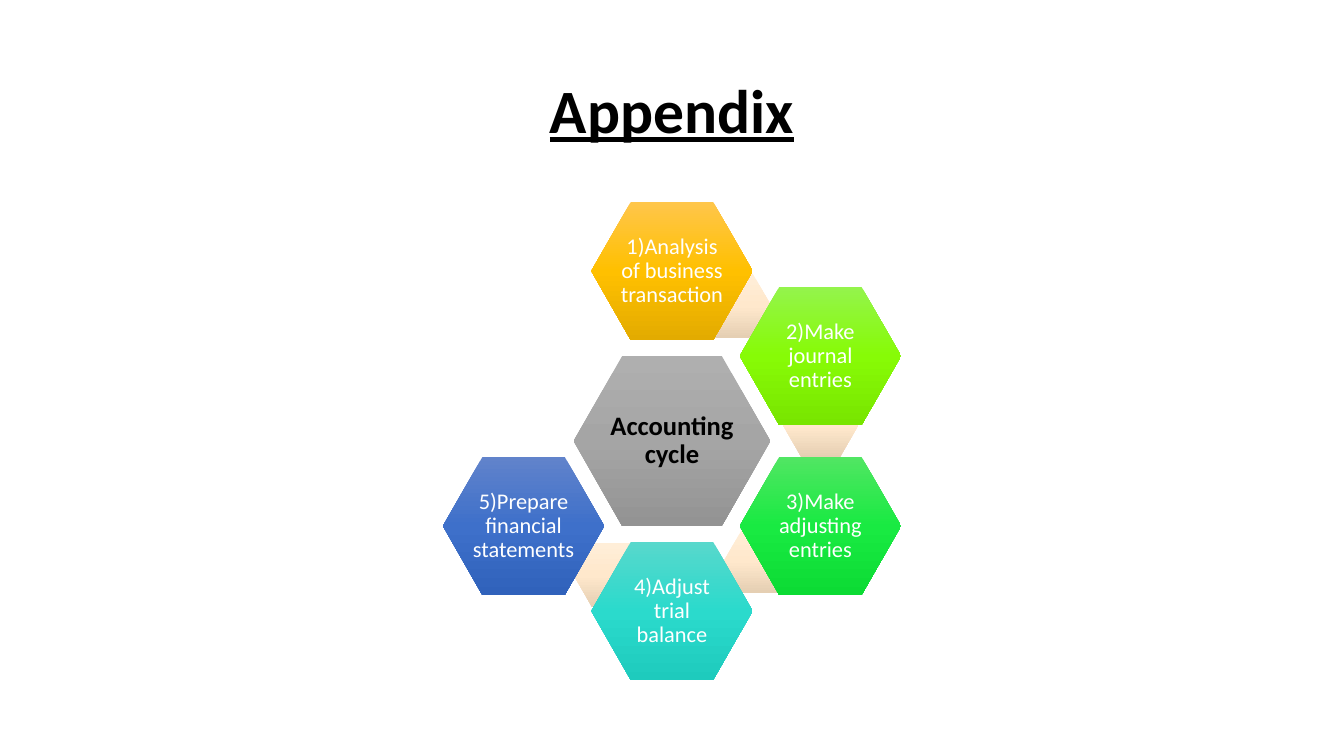
from copy import deepcopy

from pptx import Presentation
from pptx.dml.color import RGBColor
from pptx.enum.shapes import MSO_SHAPE
from pptx.enum.text import MSO_ANCHOR, PP_ALIGN
from pptx.util import Pt

HEX = MSO_SHAPE.HEXAGON
MIDDLE = MSO_ANCHOR.MIDDLE
CENTER = PP_ALIGN.CENTER

BLACK = RGBColor(0x00, 0x00, 0x00)
WHITE = RGBColor(0xFF, 0xFF, 0xFF)
GRAY = [RGBColor(0xAF, 0xAF, 0xAF), RGBColor(0xA5, 0xA5, 0xA5), RGBColor(0x93, 0x93, 0x93)]
CREAM = [RGBColor(0xFF, 0xEE, 0xD8), RGBColor(0xFF, 0xE8, 0xCC), RGBColor(0xE5, 0xCF, 0xB3)]
GOLD = [RGBColor(0xFF, 0xC6, 0x4B), RGBColor(0xFF, 0xC0, 0x00), RGBColor(0xE3, 0xAB, 0x00)]
LIME = [RGBColor(0x94, 0xF4, 0x4C), RGBColor(0x87, 0xFB, 0x06), RGBColor(0x78, 0xE5, 0x00)]
GREEN = [RGBColor(0x51, 0xE6, 0x63), RGBColor(0x19, 0xEA, 0x42), RGBColor(0x0C, 0xDB, 0x34)]
TEAL = [RGBColor(0x58, 0xD8, 0xCC), RGBColor(0x2B, 0xDA, 0xCC), RGBColor(0x1E, 0xCB, 0xBD)]
BLUE = [RGBColor(0x61, 0x83, 0xCB), RGBColor(0x3E, 0x70, 0xCA), RGBColor(0x30, 0x62, 0xBB)]

TITLE = {"size": Pt(44), "bold": True, "underline": True}
HUB = {"size": Pt(19), "bold": True}
STEP = {"size": Pt(16), "bold": False}

# Text, shades, place in half steps from the hub, link offset from the hub
STEPS = [
    ("1)Analysis of business transaction", GOLD, (0, -2), (44.3, -96.5)),
    ("2)Make journal entries", LIME, (1, -1), (106.2, -10.8)),
    ("3)Make adjusting entries", GREEN, (1, 1), (63.7, 85.7)),
    ("4)Adjust trial balance", TEAL, (0, 2), (-43.6, 95.8)),
    ("5)Prepare financial statements", BLUE, (-1, 1), None),
]


def write(frame, text, look, color, inset):
    frame.word_wrap = True
    frame.vertical_anchor = MIDDLE
    for side in ("left", "top", "right", "bottom"):
        setattr(frame, "margin_" + side, Pt(inset))
    para = frame.paragraphs[0]
    para.alignment = CENTER
    para.line_spacing = 0.9
    run = para.add_run()
    run.text = text
    run.font.name = "Calibri"
    run.font.color.rgb = color
    for key, value in look.items():
        setattr(run.font, key, value)


def shade(shape, colors):
    """Fill from top to bottom with three evenly spaced colours."""
    fill = shape.fill
    fill.gradient()
    fill.gradient_angle = 270
    first = shape._element.spPr.xpath("a:gradFill/a:gsLst/a:gs")[0]
    first.addnext(deepcopy(first))
    for i, (stop, color) in enumerate(zip(fill.gradient_stops, colors)):
        stop.position = i / 2
        stop.color.rgb = color


def add_hex(shapes, mid, size, colors, adj=0.286):
    (x, y), (w, h) = mid, size
    cell = shapes.add_shape(HEX, Pt(x - w / 2), Pt(y - h / 2), Pt(w), Pt(h))
    cell.adjustments[0] = adj
    cell.shadow.inherit = False
    cell.line.fill.background()
    shade(cell, colors)
    return cell


def add_title(slide, left, top, width, height):
    title = slide.shapes.title
    title.left, title.top = Pt(left), Pt(top)
    title.width, title.height = Pt(width), Pt(height)
    write(title.text_frame, "Appendix", TITLE, BLACK, 3.6)


def add_cycle(slide, left, top, width, height):
    """Place the hub mid-box, with steps and links around it."""
    shapes = slide.shapes.add_group_shape().shapes
    x, y = left + width / 2, top + height / 2
    w, h = 0.352 * width, 0.29 * height
    dx, dy = (width - w) / 2, (height - h) / 4
    hub = add_hex(shapes, (x, y), (140.5, 121.5), GRAY)
    write(hub.text_frame, "Accounting cycle", HUB, BLACK, 2)
    for text, colors, (col, row), link in STEPS:
        if link:
            add_hex(shapes, (x + link[0], y + link[1]), (53.2, 45.6), CREAM, 0.289)
        cell = add_hex(shapes, (x + col * dx, y + row * dy), (w, h), colors)
        write(cell.text_frame, text, STEP, WHITE, 1.4)


def main():
    deck = Presentation()
    deck.slide_width, deck.slide_height = Pt(960), Pt(540)
    slide = deck.slides.add_slide(deck.slide_layouts[5])
    add_title(slide, 66, 28.8, 828, 104.4)
    add_cycle(slide, 316.4, 144, 327.2, 342)
    deck.save("out.pptx")


if __name__ == "__main__":
    main()
